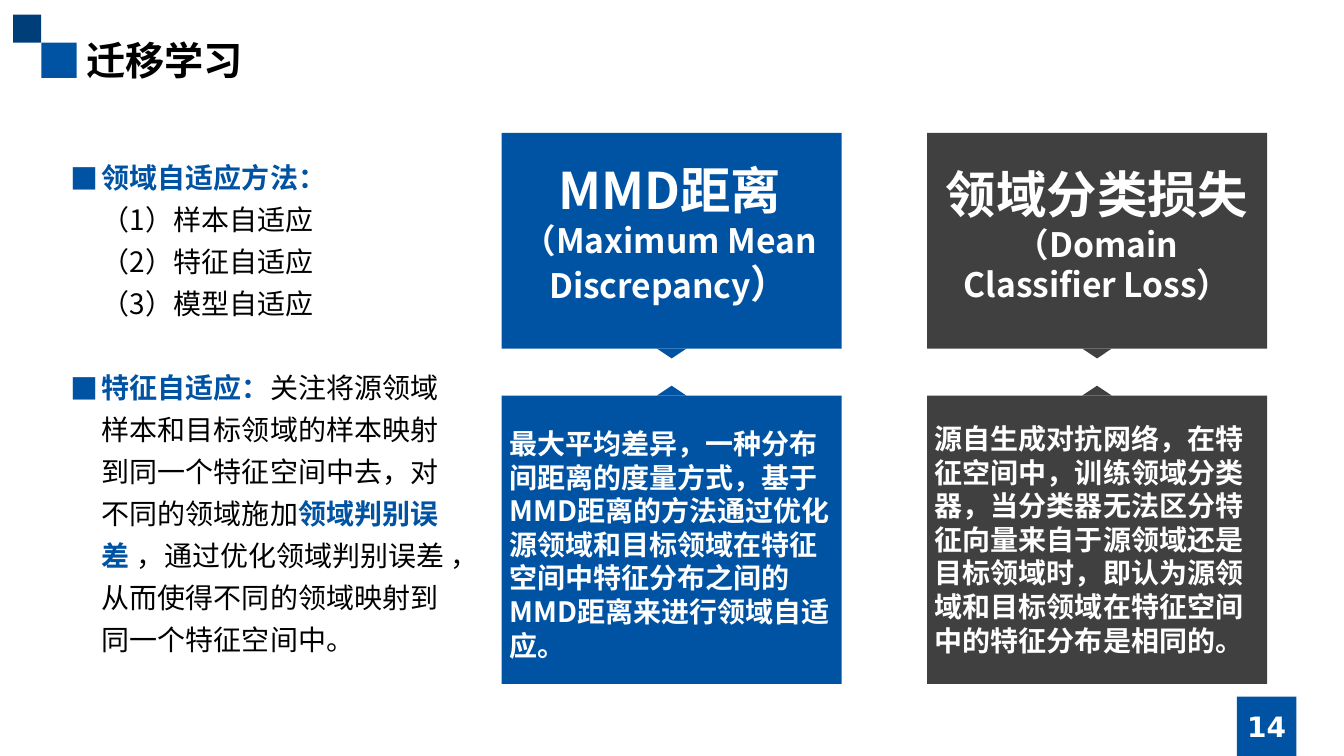
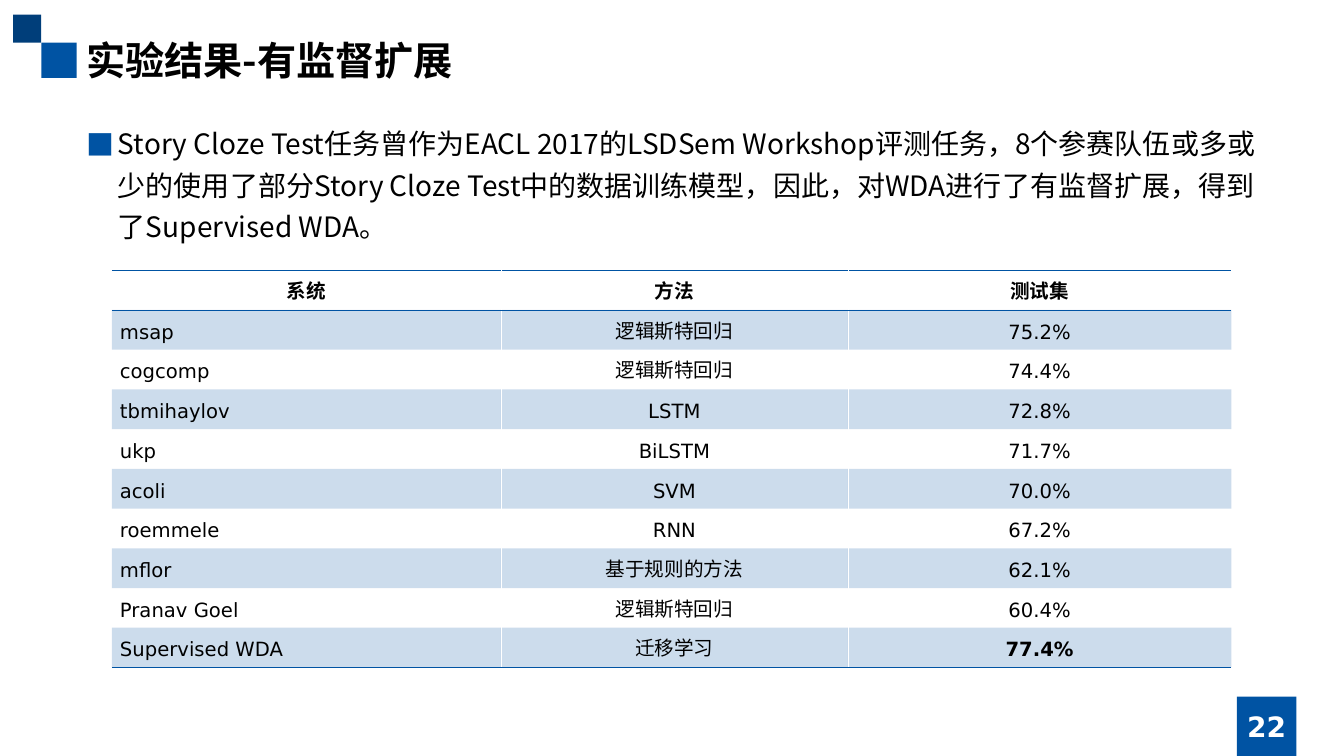
from dataclasses import dataclass
from typing import Any, NamedTuple, Optional

from lxml.etree import SubElement as Sub
from pptx import Presentation
from pptx.dml.color import RGBColor as RGB
from pptx.enum.shapes import MSO_SHAPE as Form
from pptx.enum.text import MSO_ANCHOR as Anchor, PP_ALIGN as Align
from pptx.oxml.ns import qn
from pptx.util import Pt


@dataclass(frozen=True)
class Theme:
    blue: str = "0053A3"
    navy: str = "003E7A"
    dark: str = "404040"
    black: str = "000000"
    white: str = "FFFFFF"
    han: str = "Noto Sans CJK SC"
    latin: str = "DejaVu Sans"
    title: float = 28
    head: float = 36
    sub: float = 24
    body: float = 20
    cell: float = 14
    rule: float = 0.45
    tint: int = 20


T = Theme()


class Box(NamedTuple):
    left: float
    top: float
    width: float
    height: float


class Run(NamedTuple):
    text: str
    size: float = T.body
    color: str = T.black
    bold: bool = False
    font: str = T.han


@dataclass(frozen=True)
class Para:
    runs: list[Run]
    align: Align = Align.LEFT
    indent: float = 0
    bullet: bool = False
    line: Any = None
    before: float = 0


@dataclass(frozen=True)
class Card:
    left: float
    color: str
    head: list[Para]
    head_box: Box
    note: str
    note_box: Box


INDENT = 22.5
LOOSE = 1.25
WIDE = 850


def points(box: Box) -> list[Pt]:
    return [Pt(n) for n in box]


def shape(shapes: Any, box: Box, color: str, form: Form = Form.RECTANGLE,
          turn: float = 0) -> None:
    item = shapes.add_shape(form, *points(box))
    item.shadow.inherit = False
    item.fill.solid()
    item.fill.fore_color.rgb = RGB.from_string(color)
    item.line.fill.background()
    item.rotation = turn


def write(frame: Any, paras: list[Para]) -> None:
    for i, para in enumerate(paras):
        p = frame.add_paragraph() if i else frame.paragraphs[0]
        p.alignment = para.align
        if para.line:
            p.line_spacing = para.line
        if para.before:
            p.space_before = Pt(para.before)
        props = p._p.get_or_add_pPr()
        if para.indent:
            props.set("marL", str(Pt(para.indent)))
            props.set("indent", str(Pt(-para.indent if para.bullet else 0)))
        if para.bullet:
            Sub(Sub(props, qn("a:buClr")), qn("a:srgbClr"), val=T.blue)
            Sub(props, qn("a:buFont"), typeface=T.han)
            Sub(props, qn("a:buChar"), char="■")
        for part in para.runs:
            run = p.add_run()
            run.text = part.text
            font = run.font
            font.size, font.bold, font.name = Pt(part.size), part.bold, part.font
            font.color.rgb = RGB.from_string(part.color)
            Sub(run._r.get_or_add_rPr(), qn("a:ea"), typeface=part.font)


def label(slide: Any, box: Box, paras: list[Para],
          anchor: Anchor = Anchor.TOP) -> None:
    frame = slide.shapes.add_textbox(*points(box)).text_frame
    frame.word_wrap = True
    frame.vertical_anchor = anchor
    write(frame, paras)


def start(deck: Any, title: str, page: int) -> Any:
    """Add a slide with the corner squares, title and page number."""
    slide = deck.slides.add_slide(deck.slide_layouts[6])
    shape(slide.shapes, Box(29.5, 30.5, 25.2, 25.2), T.blue)
    shape(slide.shapes, Box(9.4, 10.5, 20, 20), T.navy)
    shape(slide.shapes, Box(884, 497.5, 42.5, 42.5), T.blue)
    label(slide, Box(54.7, 22.3, WIDE, 41),
          [Para([Run(title, T.title, bold=True)])])
    number = Run(str(page), T.body, T.white, True, T.latin)
    label(slide, Box(850.5, 504.5, 109.5, 29),
          [Para([number], Align.CENTER)], Anchor.MIDDLE)
    return slide


def panel(slide: Any, box: Box, color: str, down: bool) -> None:
    """Draw a block with a small tip on its lower or upper edge."""
    group = slide.shapes.add_group_shape().shapes
    wide, high = 21, 7
    top = box.top + box.height if down else box.top - high
    shape(group, box, color)
    shape(group, Box(box.left + (box.width - wide) / 2, top, wide, high),
          color, Form.ISOSCELES_TRIANGLE, 180 if down else 0)


def pale(text: str, size: float) -> Run:
    return Run(text, size, T.white, True)


CARDS = [
    Card(358.5, T.blue,
         [Para([pale("MMD距离", T.head)], Align.CENTER),
          Para([pale("（Maximum Mean Discrepancy", T.sub),
                pale("）", T.title)], Align.CENTER)],
         Box(357, 110, 243, 113),
         "最大平均差异，一种分布间距离的度量方式，基于MMD距离的方法通过优化"
         "源领域和目标领域在特征空间中特征分布之间的MMD距离来进行领域自适应。",
         Box(357, 301, 243, 176)),
    Card(662.5, T.dark,
         [Para([pale("领域分类损失", T.head),
                pale("（Domain Classifier Loss）", T.sub)], Align.CENTER)],
         Box(662.5, 113, 243, 108),
         "源自生成对抗网络，在特征空间中，训练领域分类器，当分类器无法区分"
         "特征向量来自于源领域还是目标领域时，即认为源领域和目标领域在特征空间"
         "中的特征分布是相同的。",
         Box(661, 297.5, 243, 176)),
]


def transfer(deck: Any) -> None:
    slide = start(deck, "迁移学习", 14)
    for card in CARDS:
        panel(slide, Box(card.left, 282.5, 243, 206), card.color, False)
        panel(slide, Box(card.left, 95, 243, 154), card.color, True)
        label(slide, card.head_box, card.head)
        label(slide, card.note_box, [Para([pale(card.note, T.body)])])

    def key(text: str) -> Run:
        return Run(text, color=T.blue, bold=True)

    ways = ["（1）样本自适应", "（2）特征自适应", "（3）模型自适应"]
    label(slide, Box(43.2, 105, 289, 367), [
        Para([key("领域自适应方法：")], indent=INDENT, bullet=True, line=LOOSE),
        *[Para([Run(way)], indent=INDENT, line=LOOSE) for way in ways],
        Para([key("特征自适应："),
              Run("关注将源领域样本和目标领域的样本映射到同一个特征空间中去，"
                  "对不同的领域施加"),
              key("领域判别误差 "),
              Run("，通过优化领域判别误差 ，从而使得不同的领域映射到同一个"
                  "特征空间中。")],
             indent=INDENT, bullet=True, line=LOOSE, before=30),
    ])


ROWS = [
    ("系统", "方法", "测试集"),
    ("msap", "逻辑斯特回归", "75.2%"),
    ("cogcomp", "逻辑斯特回归", "74.4%"),
    ("tbmihaylov", "LSTM", "72.8%"),
    ("ukp", "BiLSTM", "71.7%"),
    ("acoli", "SVM", "70.0%"),
    ("roemmele", "RNN", "67.2%"),
    ("mflor", "基于规则的方法", "62.1%"),
    ("Pranav Goel", "逻辑斯特回归", "60.4%"),
    ("Supervised WDA", "迁移学习", "77.4%"),
]
COLS = [278, 248, 274]
ROW = 28.4


def edge(cell: Any, side: str, color: Optional[str]) -> None:
    line = Sub(cell._tc.get_or_add_tcPr(), qn(f"a:ln{side}"),
               w=str(Pt(T.rule)))
    if color:
        Sub(Sub(line, qn("a:solidFill")), qn("a:srgbClr"), val=color)
    else:
        Sub(line, qn("a:noFill"))


def paint(cell: Any, row: int, col: int) -> None:
    """Set the borders, then the fill, of one table cell."""
    last = len(ROWS) - 1
    edge(cell, "L", T.white if col else None)
    edge(cell, "R", T.white if col < len(COLS) - 1 else None)
    edge(cell, "T", T.blue if row < 2 else None)
    edge(cell, "B", T.blue if row in (0, last) else None)
    if row % 2:
        cell.fill.solid()
        cell.fill.fore_color.rgb = RGB.from_string(T.blue)
        tone = cell._tc.tcPr.find(f"{qn('a:solidFill')}/{qn('a:srgbClr')}")
        Sub(tone, qn("a:alpha"), val=str(T.tint * 1000))
    else:
        cell.fill.background()


def results(deck: Any) -> None:
    slide = start(deck, "实验结果-有监督扩展", 22)
    box = Box(80, 193, sum(COLS), ROW * len(ROWS))
    table = slide.shapes.add_table(len(ROWS), len(COLS), *points(box)).table
    table.first_row = table.horz_banding = False
    for col, width in zip(table.columns, COLS):
        col.width = Pt(width)
    for r, texts in enumerate(ROWS):
        table.rows[r].height = Pt(ROW)
        for c, text in enumerate(texts):
            cell = table.cell(r, c)
            cell.vertical_anchor = Anchor.MIDDLE
            cell.margin_left = cell.margin_right = Pt(5.75)
            bold = r == 0 or (r == len(ROWS) - 1 and c == len(COLS) - 1)
            font = T.latin if text.isascii() else T.han
            align = Align.LEFT if r and not c else Align.CENTER
            write(cell.text_frame, [Para(
                [Run(text, T.cell, bold=bold, font=font)], align, line=Pt(20))])
            paint(cell, r, c)
    label(slide, Box(54.7, 80.5, WIDE, 97), [Para([Run(
        "Story Cloze Test任务曾作为EACL 2017的LSDSem Workshop评测任务，"
        "8个参赛队伍或多或少的使用了部分Story Cloze Test中的数据训练模型，"
        "因此，对WDA进行了有监督扩展，得到了Supervised WDA。")],
        indent=INDENT, bullet=True, line=LOOSE)])


def main() -> None:
    deck = Presentation()
    deck.slide_width, deck.slide_height = Pt(960.5), Pt(540)
    transfer(deck)
    results(deck)
    deck.save("out.pptx")


if __name__ == "__main__":
    main()
